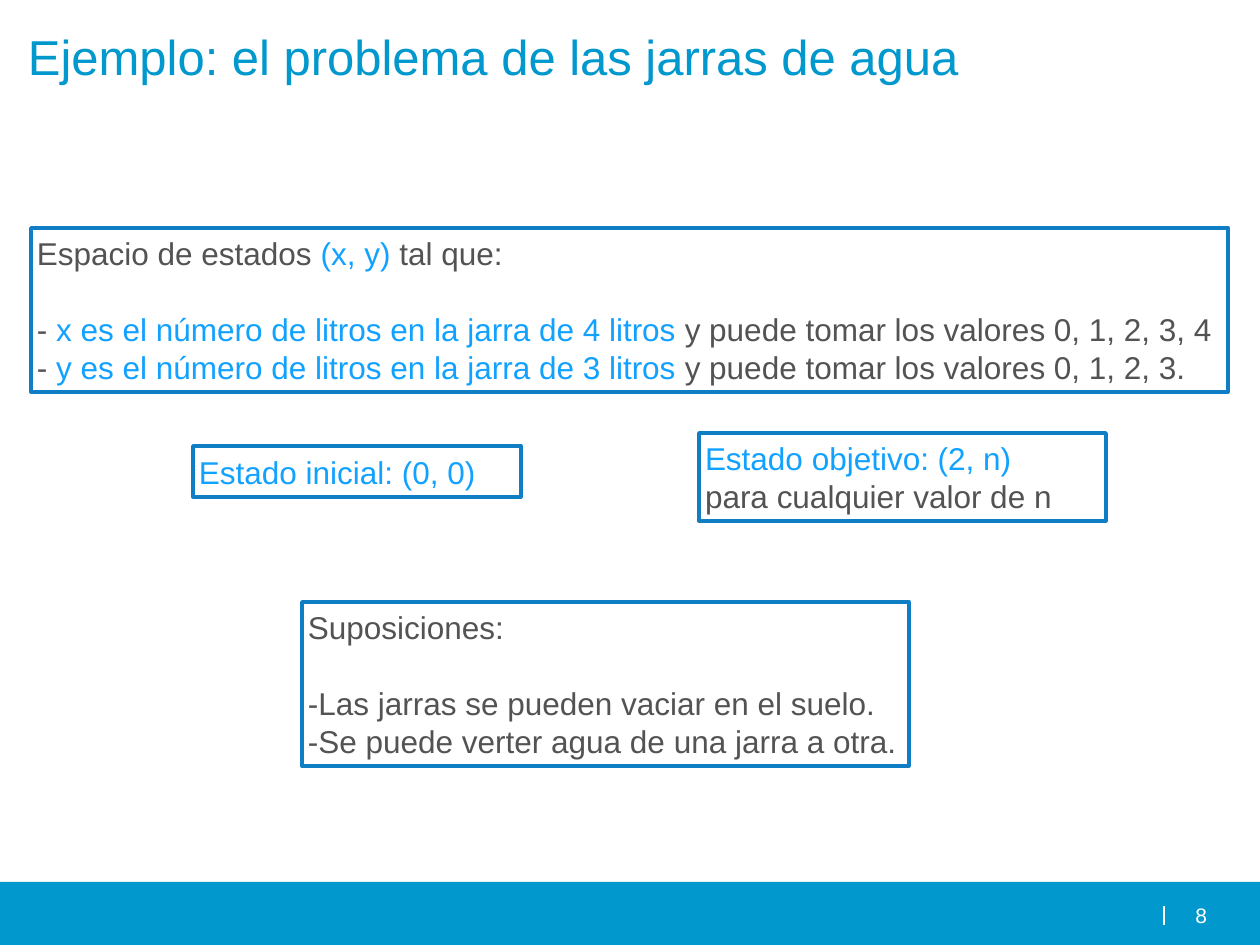
import pptx
import pptx.dml.color
import pptx.enum.shapes
import pptx.enum.text
import pptx.oxml.ns
import pptx.util
from lxml import etree

RGBColor = pptx.dml.color.RGBColor
PP_ALIGN = pptx.enum.text.PP_ALIGN
ANCHOR = pptx.enum.text.MSO_ANCHOR
AUTO_SIZE = pptx.enum.text.MSO_AUTO_SIZE

BRAND = RGBColor(0x00, 0x98, 0xCD)
BORDER = RGBColor(0x0F, 0x7E, 0xC5)
ACCENT = RGBColor(0x11, 0xA1, 0xFF)
GRAY = RGBColor(0x53, 0x53, 0x53)
WHITE = RGBColor(0xFF, 0xFF, 0xFF)

FONT = "Arial"
PX_PER_INCH = 126
BODY_SIZE = 18
HEADING_GAP = 21.5  # one body line, in points


def px(n):
    return pptx.util.Emu(round(n * 914400 / PX_PER_INCH))


def box_px(*lengths):
    return [px(n) for n in lengths]


def style_run(r, size, color):
    r.font.name = FONT
    r.font.size = pptx.util.Pt(size)
    r.font.color.rgb = color


def set_margins(tf, x, y):
    tf.margin_left = tf.margin_right = px(x)
    tf.margin_top = tf.margin_bottom = px(y)


def add_title(s, text):
    title = s.shapes.title
    title.left, title.top, title.width, title.height = box_px(15, 21, 1134, 158)
    tf = title.text_frame
    tf.text = text
    tf.auto_size = AUTO_SIZE.NONE
    tf.vertical_anchor = ANCHOR.TOP
    set_margins(tf, 13, 6)
    p = tf.paragraphs[0]
    p.alignment = PP_ALIGN.LEFT
    style_run(p.runs[0], 28, BRAND)


def add_rect(s, box, fill):
    sp = s.shapes.add_shape(pptx.enum.shapes.MSO_SHAPE.RECTANGLE, *box_px(*box))
    sp.shadow.inherit = False
    sp.fill.solid()
    sp.fill.fore_color.rgb = fill
    return sp


def add_framed_text(s, box, lines, heading=False):
    """Each line is a list of (text, color); a heading is set apart below."""
    sp = add_rect(s, box, WHITE)
    sp.line.color.rgb = BORDER
    sp.line.width = pptx.util.Pt(2)
    tf = sp.text_frame
    tf.word_wrap = True
    tf.auto_size = AUTO_SIZE.SHAPE_TO_FIT_TEXT
    tf.vertical_anchor = ANCHOR.MIDDLE
    set_margins(tf, 6, 6)
    for i, line in enumerate(lines):
        p = tf.add_paragraph() if i else tf.paragraphs[0]
        p.alignment = PP_ALIGN.LEFT
        for text, color in line:
            r = p.add_run()
            r.text = text
            style_run(r, BODY_SIZE, color)
    if heading:
        tf.paragraphs[0].space_after = pptx.util.Pt(HEADING_GAP)


def add_footer(s, number):
    bar = add_rect(s, (0, 882, 1261, 64), BRAND)
    bar.line.fill.background()

    # Divider
    divider = s.shapes.add_connector(
        pptx.enum.shapes.MSO_CONNECTOR.STRAIGHT, *box_px(1164, 925, 1164, 906))
    divider.line.color.rgb = WHITE
    divider.line.width = pptx.util.Pt(0.75)
    etree.SubElement(divider._element.spPr, pptx.oxml.ns.qn("a:effectLst"))

    # Page number
    tf = s.shapes.add_textbox(*box_px(1169, 903, 38, 24)).text_frame
    tf.word_wrap = True
    set_margins(tf, 0, 0)
    p = tf.paragraphs[0]
    p.text = number
    p.alignment = PP_ALIGN.RIGHT
    style_run(p.runs[0], 12, WHITE)


def jar_line(name, litres, values):
    return [("- ", GRAY),
            (f"{name} es el número de litros en la jarra de {litres} litros ", ACCENT),
            (f"y puede tomar los valores {values}", GRAY)]


def main():
    prs = pptx.Presentation()
    prs.slide_width, prs.slide_height = box_px(1260, 945)
    s = prs.slides.add_slide(prs.slide_layouts[5])

    add_title(s, "Ejemplo: el problema de las jarras de agua")
    add_footer(s, "8")

    # State space
    add_framed_text(s, (31, 228, 1197, 164), [
        [("Espacio de estados ", GRAY), ("(x, y) ", ACCENT), ("tal que:", GRAY)],
        jar_line("x", 4, "0, 1, 2, 3, 4"),
        jar_line("y", 3, "0, 1, 2, 3."),
    ], heading=True)

    # Initial and goal states
    add_framed_text(s, (193, 446, 328, 51), [[("Estado inicial: (0, 0)", ACCENT)]])
    add_framed_text(s, (699, 433, 407, 88), [
        [("Estado objetivo: (2, n)", ACCENT)],
        [("para cualquier valor de n", GRAY)],
    ])

    # Assumptions
    add_framed_text(s, (302, 602, 607, 164), [
        [("Suposiciones:", GRAY)],
        [("-Las jarras se pueden vaciar en el suelo.", GRAY)],
        [("-Se puede verter agua de una jarra a otra.", GRAY)],
    ], heading=True)

    prs.save("out.pptx")


if __name__ == "__main__":
    main()
